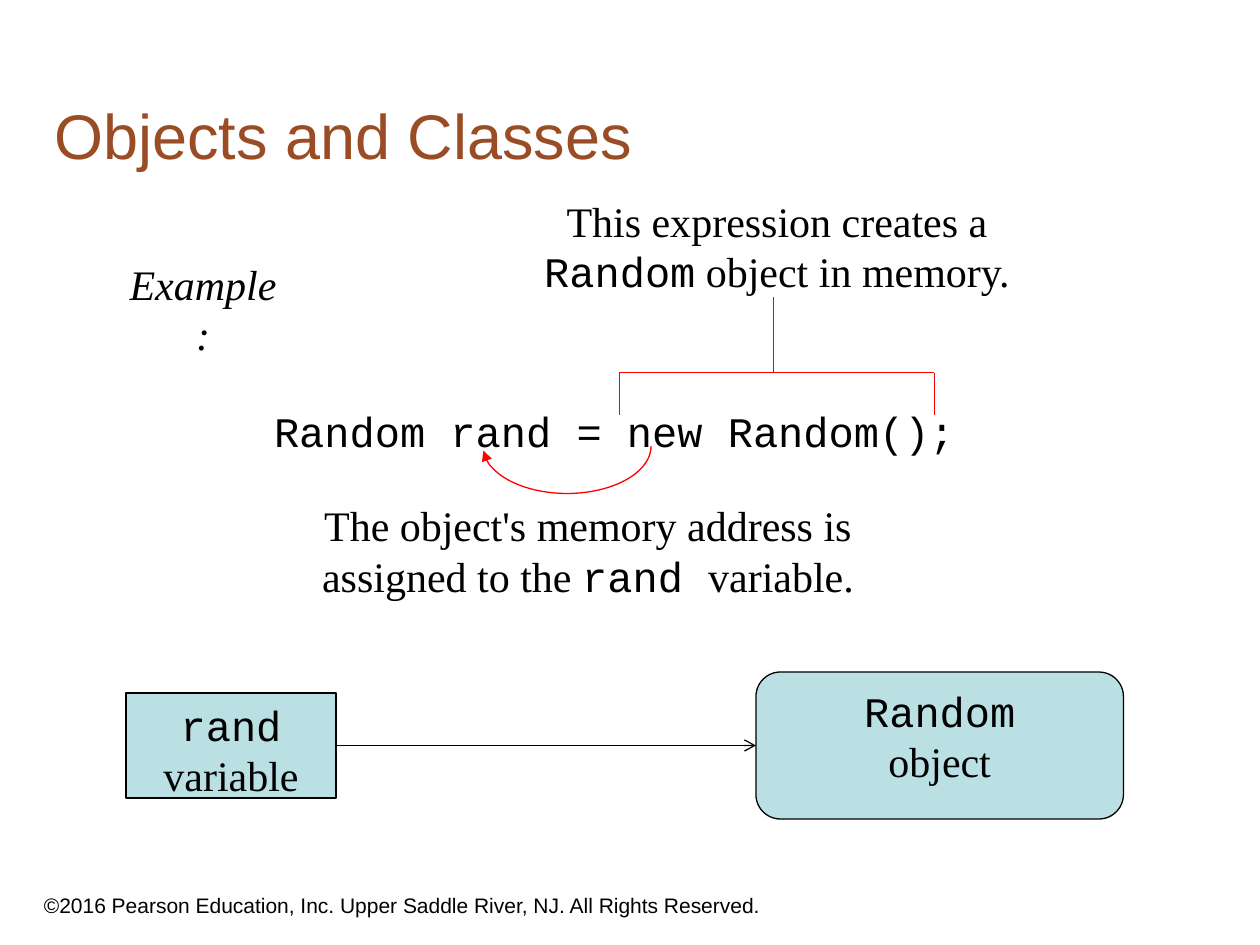
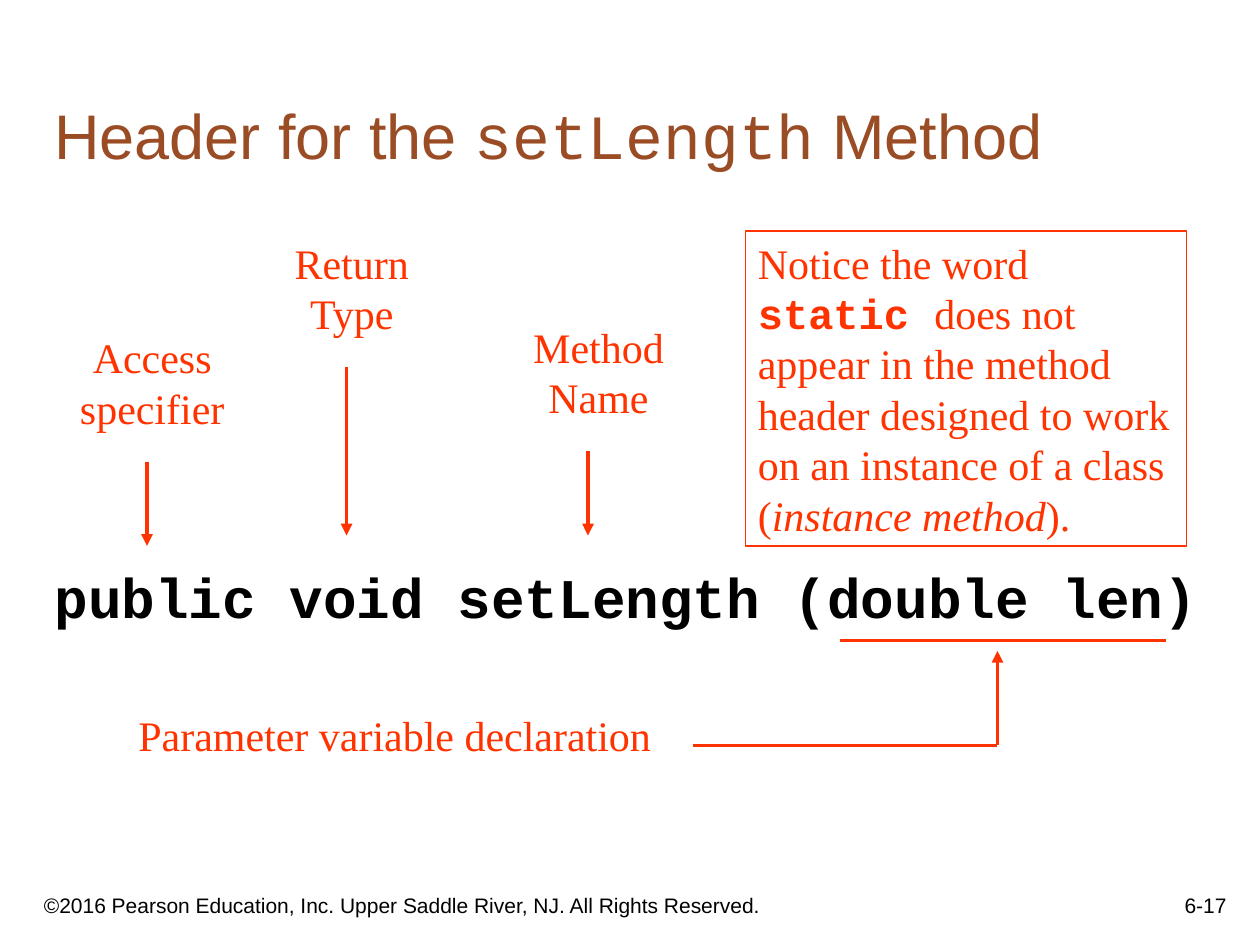
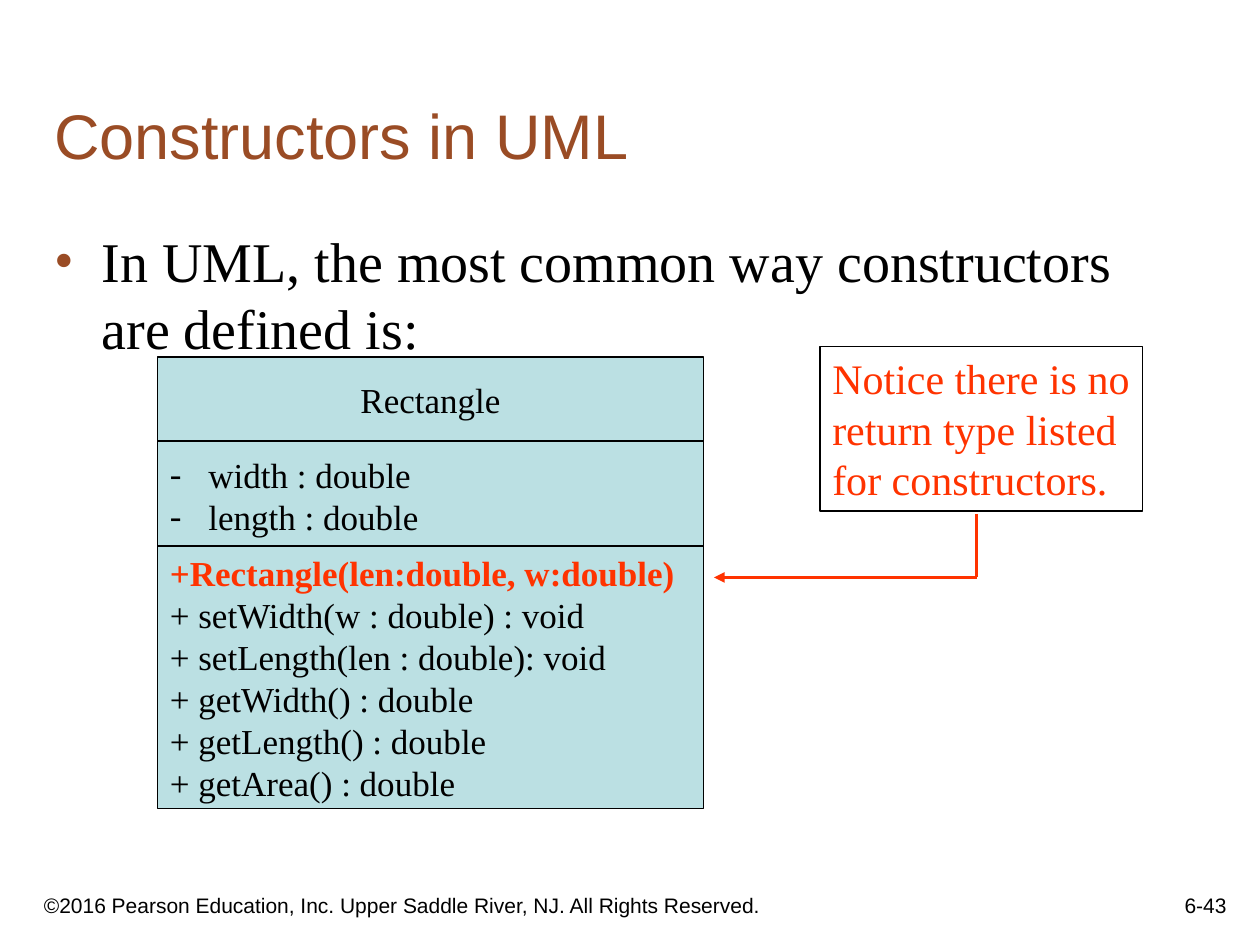
from lxml import etree
from pptx import Presentation
from pptx.dml.color import RGBColor
from pptx.enum import shapes, text
from pptx.oxml.ns import qn
from pptx.util import Pt

BROWN = RGBColor(0x9A, 0x4C, 0x25)
BLACK = RGBColor(0, 0, 0)
RED = RGBColor(0xFF, 0, 0)
ORANGE = RGBColor(0xFF, 0x33, 0)
PALE_BLUE = RGBColor(0xBB, 0xE0, 0xE3)

SANS, SERIF, MONO = "Arial", "Times New Roman", "Courier New"
TITLE = dict(name=SANS, size=Pt(36), color=BROWN)
SMALL = dict(name=SANS, size=Pt(12), color=BLACK)
NORMAL = dict(name=SERIF, size=Pt(24), color=BLACK)
CALLOUT = dict(NORMAL, color=ORANGE)
BODY = dict(NORMAL, size=Pt(32))
UML = dict(NORMAL, size=Pt(20))
CODE = dict(name=MONO)

LEFT, CENTER, RIGHT = text.PP_ALIGN.LEFT, text.PP_ALIGN.CENTER, text.PP_ALIGN.RIGHT
TOP, MIDDLE, BOTTOM = text.MSO_ANCHOR.TOP, text.MSO_ANCHOR.MIDDLE, text.MSO_ANCHOR.BOTTOM
RECT = shapes.MSO_SHAPE.RECTANGLE
COPYRIGHT = "©2016 Pearson Education, Inc. Upper Saddle River, NJ. All Rights Reserved."


def points(values):
    return [Pt(v) for v in values]


def style_font(font, fmt):
    for key, value in fmt.items():
        if key == "color":
            font.color.rgb = value
        else:
            setattr(font, key, value)


def add_bullet(p, char, color, indent):
    pPr = p._p.get_or_add_pPr()
    pPr.set("marL", str(Pt(indent)))
    pPr.set("indent", str(-Pt(indent)))
    clr = etree.SubElement(pPr, qn("a:buClr"))
    etree.SubElement(clr, qn("a:srgbClr"), val=str(color))
    etree.SubElement(pPr, qn("a:buFont"), typeface=SERIF)
    etree.SubElement(pPr, qn("a:buChar"), char=char)


def write(sp, paragraphs, fmt, align=LEFT, anchor=TOP, wrap=True, bullet=None):
    tf = sp.text_frame
    tf.word_wrap = wrap
    tf.vertical_anchor = anchor
    for i, runs in enumerate(paragraphs):
        p = tf.add_paragraph() if i else tf.paragraphs[0]
        p.alignment = align
        if bullet:
            add_bullet(p, *bullet)
        for run in [runs] if isinstance(runs, str) else runs:
            words, extra = (run, {}) if isinstance(run, str) else run
            r = p.add_run()
            r.text = words
            style_font(r.font, {**fmt, **extra})


def add_text(s, box, paragraphs, fmt, **layout):
    sp = s.shapes.add_textbox(*points(box))
    write(sp, paragraphs, fmt, **layout)
    return sp


def add_box(s, box, paragraphs, fmt, kind=RECT, fill=PALE_BLUE, line=BLACK, **layout):
    sp = s.shapes.add_shape(kind, *points(box))
    sp.shadow.inherit = False
    if fill is None:
        sp.fill.background()
    else:
        sp.fill.solid()
        sp.fill.fore_color.rgb = fill
    style_line(sp, line, 0.75)
    write(sp, paragraphs, fmt, **layout)
    return sp


def style_line(sp, color, width, head=None):
    sp.line.color.rgb = color
    sp.line.width = Pt(width)
    if head:
        ln = sp._element.spPr.find(qn("a:ln"))
        etree.SubElement(ln, qn("a:tailEnd"), type=head)


def add_line(s, ends, color, width, head=None):
    sp = s.shapes.add_connector(shapes.MSO_CONNECTOR.STRAIGHT, *points(ends))
    style_line(sp, color, width, head)
    etree.SubElement(sp._element.spPr, qn("a:effectLst"))


def add_curved_arrow(s, box, color):
    sp = s.shapes.add_shape(shapes.MSO_SHAPE.ARC, *points(box))
    sp.shadow.inherit = False
    sp.fill.background()
    sp.adjustments[0], sp.adjustments[1] = 0, 106.2
    style_line(sp, color, 0.75, "triangle")


def add_page(prs, title, number=None):
    s = prs.slides.add_slide(prs.slide_layouts[6])
    add_text(s, (18, 498, 438, 30), [COPYRIGHT], SMALL, anchor=BOTTOM)
    if number:
        add_text(s, (558, 492, 150, 36), [number], SMALL, align=RIGHT, anchor=BOTTOM)
    add_text(s, (24, 24, 678, 78), [title], TITLE, anchor=BOTTOM)
    return s


def objects_slide(prs):
    s = add_page(prs, "Objects and Classes")
    add_text(s, (36, 228, 630, 36), ["Random rand = new Random();"],
             {**NORMAL, **CODE}, align=CENTER)
    add_box(s, (72, 396, 120, 60), [[("rand", CODE)], "variable"], NORMAL, align=CENTER)
    add_box(s, (432, 384, 210, 84), [[("Random", CODE)], "object"], NORMAL,
            kind=shapes.MSO_SHAPE.ROUNDED_RECTANGLE, align=CENTER)
    add_line(s, (192, 426, 432, 426), BLACK, 0.75, "arrow")
    add_text(s, (294, 108, 300, 65),
             [["This expression creates a ", ("Random", CODE), " object in memory."]],
             NORMAL, align=CENTER)
    for ends in ((354, 237, 354, 213), (354, 213, 534, 213),
                 (534, 237, 534, 213), (442, 212.5, 442, 170)):
        add_line(s, ends, RED, 0.75)
    add_curved_arrow(s, (276, 228, 96, 54), RED)
    add_text(s, (144, 282, 384, 65),
             [["The object's memory address is assigned to the ", ("rand ", CODE), "variable."]],
             NORMAL, align=CENTER)
    add_text(s, (63, 144, 106, 36), ["Example:"], dict(NORMAL, italic=True),
             align=CENTER, wrap=False)


def header_slide(prs):
    s = add_page(prs, ["Header for the ", ("setLength", CODE), " Method"], "6-17")
    code = add_text(s, (24, 318, 672, 60), ["public void setLength (double len)"],
                    {**BODY, **CODE, "bold": True})
    code.text_frame.margin_right = 0
    for label, box, arrow in (
            ("Access specifier", (12, 186, 150, 65), (84, 264, 84, 312)),
            ("Return Type", (144, 132, 114, 65), (198, 210, 198, 306)),
            ("Method Name", (294, 180, 96, 65), (336, 258, 336, 306))):
        add_text(s, box, [label], CALLOUT, align=CENTER)
        add_line(s, arrow, ORANGE, 2.25, "triangle")
    add_text(s, (72, 402, 318, 36), ["Parameter variable declaration"], CALLOUT)
    add_line(s, (570, 426, 570, 372), ORANGE, 2.25, "triangle")
    add_line(s, (480, 366, 666, 366), ORANGE, 2.25)
    add_line(s, (396, 426, 570, 426), ORANGE, 2.25)
    add_box(s, (426, 132, 252, 180),
            [["Notice the word ", ("static ", dict(CODE, bold=True)),
              "does not appear in the method header designed to work on an instance of a class (",
              ("instance method", dict(italic=True)), ")."]],
            CALLOUT, fill=None, line=ORANGE)


def constructors_slide(prs):
    s = add_page(prs, "Constructors in UML", "6-43")
    body = add_text(s, (24, 126, 653, 360),
                    ["In UML, the most common way constructors are defined is:"],
                    BODY, bullet=("•", BROWN, 27))
    body.text_frame.margin_right = 0
    add_box(s, (90, 204, 312, 48), ["Rectangle"], UML, align=CENTER, anchor=MIDDLE)
    add_box(s, (90, 252, 312, 62), ["width : double", "length : double"], UML,
            anchor=MIDDLE, bullet=("-", BLACK, 22))
    add_box(s, (90, 312, 312, 150),
            [[("+Rectangle(len:double, w:double)", dict(color=ORANGE, bold=True))],
             "+ setWidth(w : double) : void", "+ setLength(len : double): void",
             "+ getWidth() : double", "+ getLength() : double", "+ getArea() : double"],
            UML, anchor=MIDDLE)
    add_box(s, (468.5, 198, 184.5, 94),
            ["Notice there is no", "return type listed", "for constructors."],
            CALLOUT, fill=None, wrap=False)
    add_line(s, (558, 330, 408, 330), ORANGE, 2, "triangle")
    add_line(s, (558, 294, 558, 330), ORANGE, 2)


def main():
    prs = Presentation()
    prs.slide_width, prs.slide_height = Pt(720), Pt(540)
    objects_slide(prs)
    header_slide(prs)
    constructors_slide(prs)
    prs.save("out.pptx")


if __name__ == "__main__":
    main()
